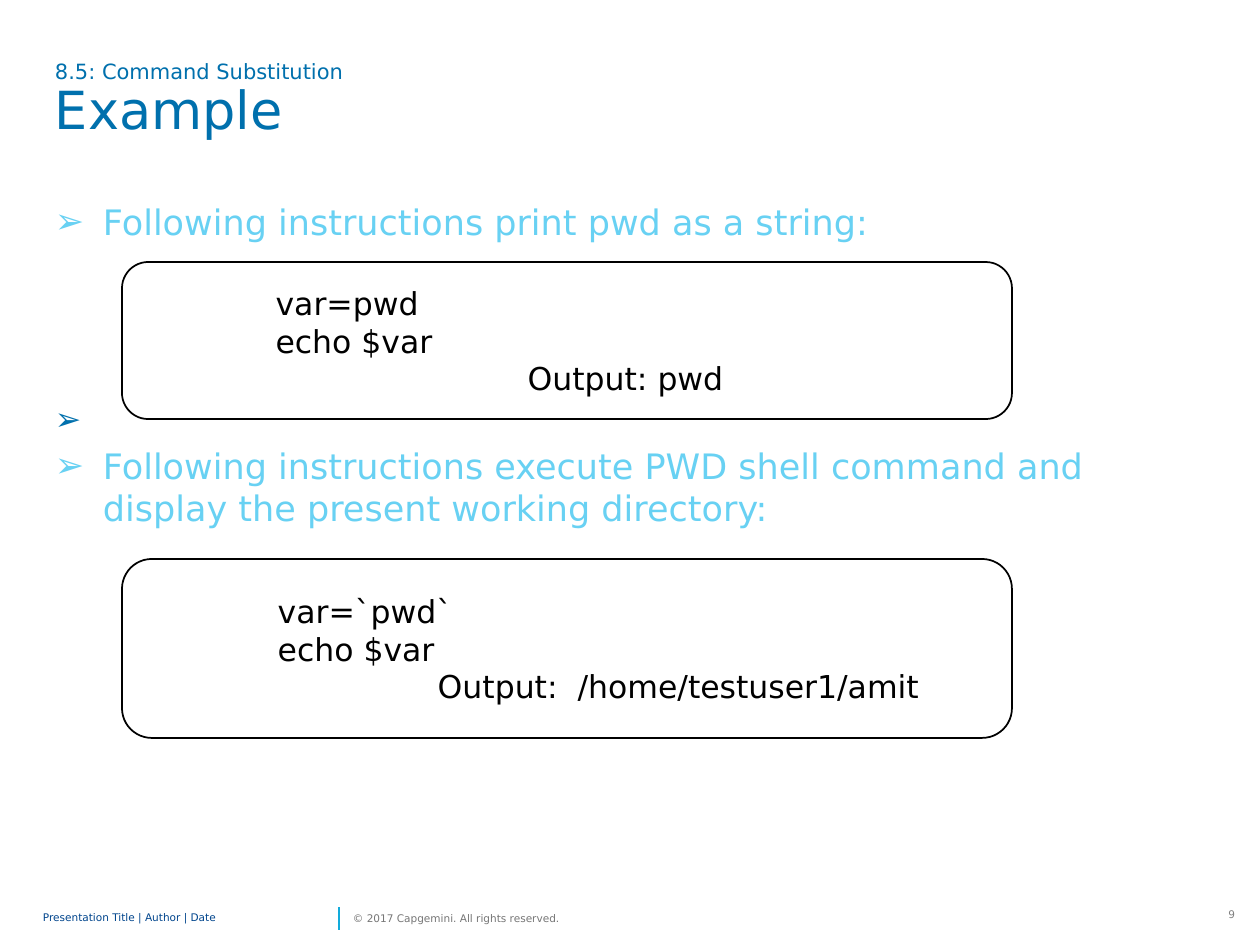
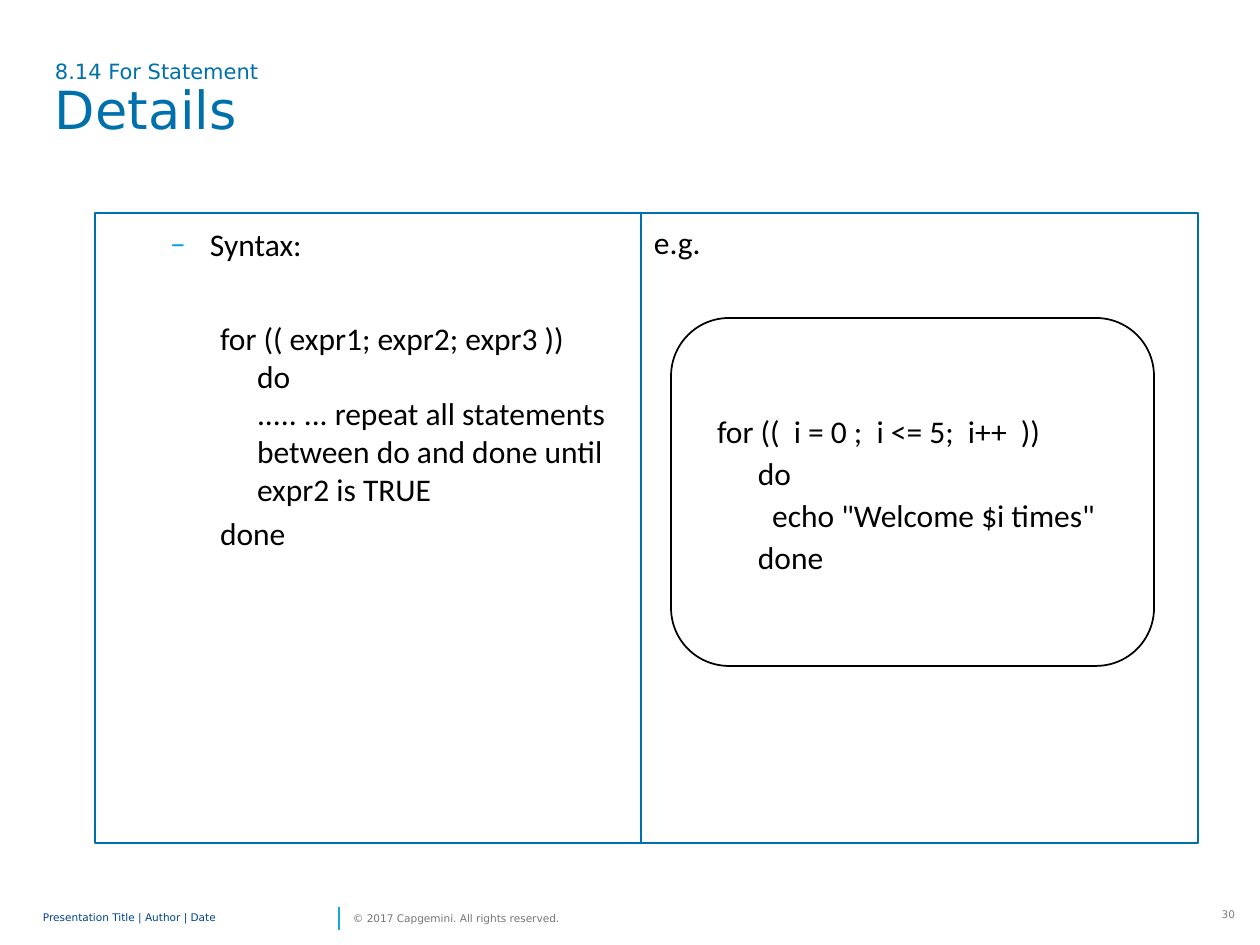
from lxml.etree import SubElement
from pptx import Presentation
from pptx.dml.color import RGBColor
from pptx.enum.shapes import MSO_CONNECTOR, MSO_SHAPE
from pptx.enum.text import MSO_ANCHOR, PP_ALIGN
from pptx.oxml.ns import qn
from pptx.util import Emu, Pt

COLORS = {
    "title": "0070AD", "bullet": "68D1F3", "dash": "00A1E4", "code": "000000",
    "box": "FFFFFF", "footer": "00458D", "copyright": "767676",
    "number": "808080", "divider": "12ABDB",
}
SANS, CODE = "DejaVu Sans", "Calibri"
SLIDE_SIZE = (1260, 945)
PADDING = (13, 6)

# Content: each line is (text, style); "left" and "hanging" are px
ARROW = dict(size=20, color="bullet", left=48, hanging=48, bullet="➢", after=4.5)
SHELL = dict(size=18, color="code")
SCRIPT = dict(size=18, color="code", font=CODE)
SPACED = dict(SCRIPT, spacing=Pt(24))

EXAMPLE = {
    "section": "8.5: Command Substitution", "title": "Example", "number": "9",
    "points": [
        ("Following instructions print pwd as a string:", ARROW),
        ("➢", dict(size=18, color="title", before=85, after=4.5)),
        ("Following instructions execute PWD shell command and "
         "display the present working directory:", ARROW),
    ],
    "boxes": [
        ((122, 262, 890, 157), [
            ("var=pwd", dict(SHELL, left=133)),
            ("echo $var", dict(SHELL, left=133)),
            ("Output: pwd", dict(SHELL, left=385)),
        ]),
        ((122, 559, 890, 179), [
            ("var=`pwd`", dict(SHELL, left=134)),
            ("echo $var", dict(SHELL, left=134)),
            ("Output:  /home/testuser1/amit", dict(SHELL, left=294)),
        ]),
    ],
}
DETAILS = {
    "section": "8.14 For Statement", "title": "Details", "number": "30",
    "panels": [
        (546, [
            ("Syntax:", dict(SCRIPT, left=102, hanging=40, spacing=Pt(25),
                             bullet="–", bullet_color="dash")),
            ("for (( expr1; expr2; expr3 ))", dict(SCRIPT, left=112, before=32)),
            ("do", dict(SCRIPT, left=149)),
            ("..... ... repeat all statements between do and done until "
             "expr2 is TRUE", dict(SCRIPT, left=149)),
            ("done", dict(SCRIPT, left=112, before=3.6)),
        ]),
        (557, [("e.g.", SPACED)]),
    ],
    "boxes": [
        ((671, 318, 483, 348), [
            ("for ((  i = 0 ;  i <= 5;  i++  ))", dict(SPACED, left=16)),
            ("do", dict(SPACED, left=57)),
            ("  echo \"Welcome $i times\"", dict(SPACED, left=57)),
            ("done", dict(SPACED, left=57)),
        ]),
    ],
}
PANEL_LEFT, PANEL_TOP, PANEL_HEIGHT = 95, 213, 630


def px(value):
    return Emu(round(value * 914400 / 126))


def color(name):
    return RGBColor.from_string(COLORS[name])


def add_line(paragraph, text, size, color_name, font, left, hanging, bullet,
             bullet_color, before, after, spacing, align):
    properties = paragraph._p.get_or_add_pPr()
    properties.set("marL", str(px(left)))
    properties.set("indent", str(-px(hanging)))
    if bullet:
        bullet_fill = SubElement(properties, qn("a:buClr"))
        SubElement(bullet_fill, qn("a:srgbClr"), val=COLORS[bullet_color or color_name])
        SubElement(properties, qn("a:buFont"), typeface=font)
        SubElement(properties, qn("a:buChar"), char=bullet)
    paragraph.space_before, paragraph.space_after = Pt(before), Pt(after)
    paragraph.line_spacing = spacing
    paragraph.alignment = align
    run = paragraph.add_run()
    run.text = text
    run.font.size, run.font.name = Pt(size), font
    run.font.color.rgb = color(color_name)


def fill_text(shape, lines, anchor=MSO_ANCHOR.TOP, padding=PADDING):
    frame = shape.text_frame
    frame.word_wrap = True
    frame.vertical_anchor = anchor
    frame.margin_left = frame.margin_right = px(padding[0])
    frame.margin_top = frame.margin_bottom = px(padding[1])
    for index, (text, style) in enumerate(lines):
        paragraph = frame.add_paragraph() if index else frame.paragraphs[0]
        settings = dict(font=SANS, left=0, hanging=0, bullet=None, bullet_color=None,
                        before=0, after=0, spacing=1.0, align=PP_ALIGN.LEFT)
        settings.update(style)
        add_line(paragraph, text, color_name=settings.pop("color"), **settings)


def add_text(slide, place, lines, **options):
    fill_text(slide.shapes.add_textbox(*map(px, place)), lines, **options)


def add_outline(slide, kind, place, line_color, width):
    shape = slide.shapes.add_shape(kind, *map(px, place))
    shape.shadow.inherit = False
    shape.fill.background()
    shape.line.color.rgb = color(line_color)
    shape.line.width = Pt(width)
    return shape


def add_code_box(slide, place, lines):
    box = add_outline(slide, MSO_SHAPE.ROUNDED_RECTANGLE, place, "code", 1)
    box.fill.solid()
    box.fill.fore_color.rgb = color("box")
    fill_text(box, lines, anchor=MSO_ANCHOR.MIDDLE)


def add_base_slide(presentation, content):
    slide = presentation.slides.add_slide(presentation.slide_layouts[6])
    # Footer
    add_text(slide, (1206, 903, 38, 23),
             [(content["number"], dict(size=6, color="number", align=PP_ALIGN.RIGHT))],
             padding=(9, 5))
    divider = slide.shapes.add_connector(
        MSO_CONNECTOR.STRAIGHT, px(339), px(930), px(339), px(907))
    divider.line.color.rgb = color("divider")
    divider.line.width = Pt(1)
    SubElement(divider._element.spPr, qn("a:effectLst"))
    for place, text, style in (
        ((43, 903, 292, 30), "Presentation Title | Author | Date",
         dict(size=6, color="footer", spacing=0.85)),
        ((353, 903, 229, 30), "© 2017 Capgemini. All rights reserved.",
         dict(size=6, color="copyright")),
    ):
        add_text(slide, place, [(text, style)], anchor=MSO_ANCHOR.MIDDLE, padding=(0, 0))
    # Title
    add_text(slide, (42, 55, 1131, 120), [
        (content["section"], dict(size=12, color="title", spacing=0.9)),
        (content["title"], dict(size=30, color="title", spacing=0.9)),
    ])
    return slide


def main():
    presentation = Presentation()
    presentation.slide_width, presentation.slide_height = map(px, SLIDE_SIZE)

    # Command substitution
    slide = add_base_slide(presentation, EXAMPLE)
    add_text(slide, (42, 194, 1131, 709), EXAMPLE["points"])
    for place, lines in EXAMPLE["boxes"]:
        add_code_box(slide, place, lines)

    # For statement: panels side by side
    slide = add_base_slide(presentation, DETAILS)
    left = PANEL_LEFT
    for width, lines in DETAILS["panels"]:
        panel = add_outline(slide, MSO_SHAPE.RECTANGLE,
                            (left, PANEL_TOP, width, PANEL_HEIGHT), "title", 1.5)
        fill_text(panel, lines)
        left += width
    for place, lines in DETAILS["boxes"]:
        add_code_box(slide, place, lines)

    presentation.save("out.pptx")


if __name__ == "__main__":
    main()
